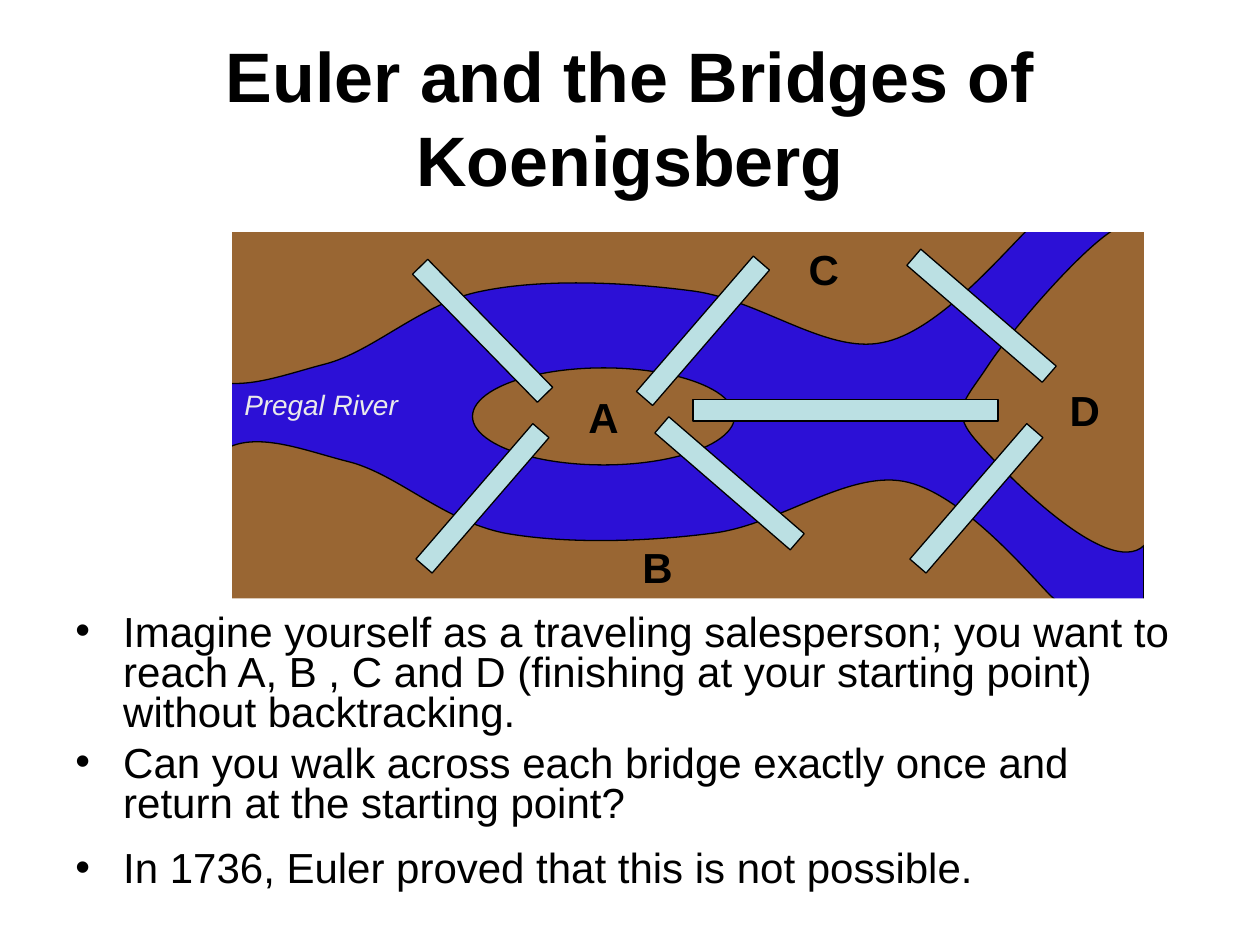
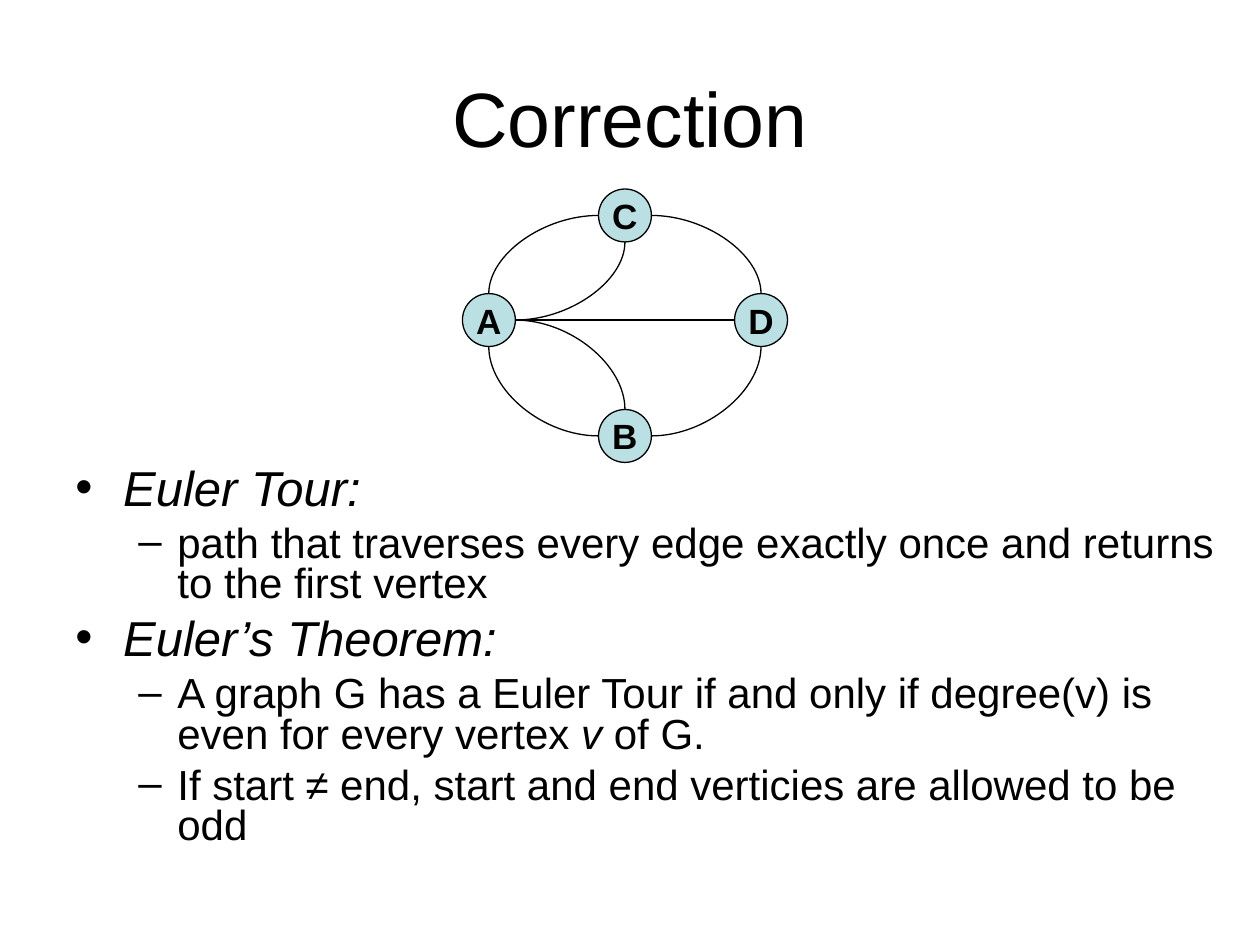
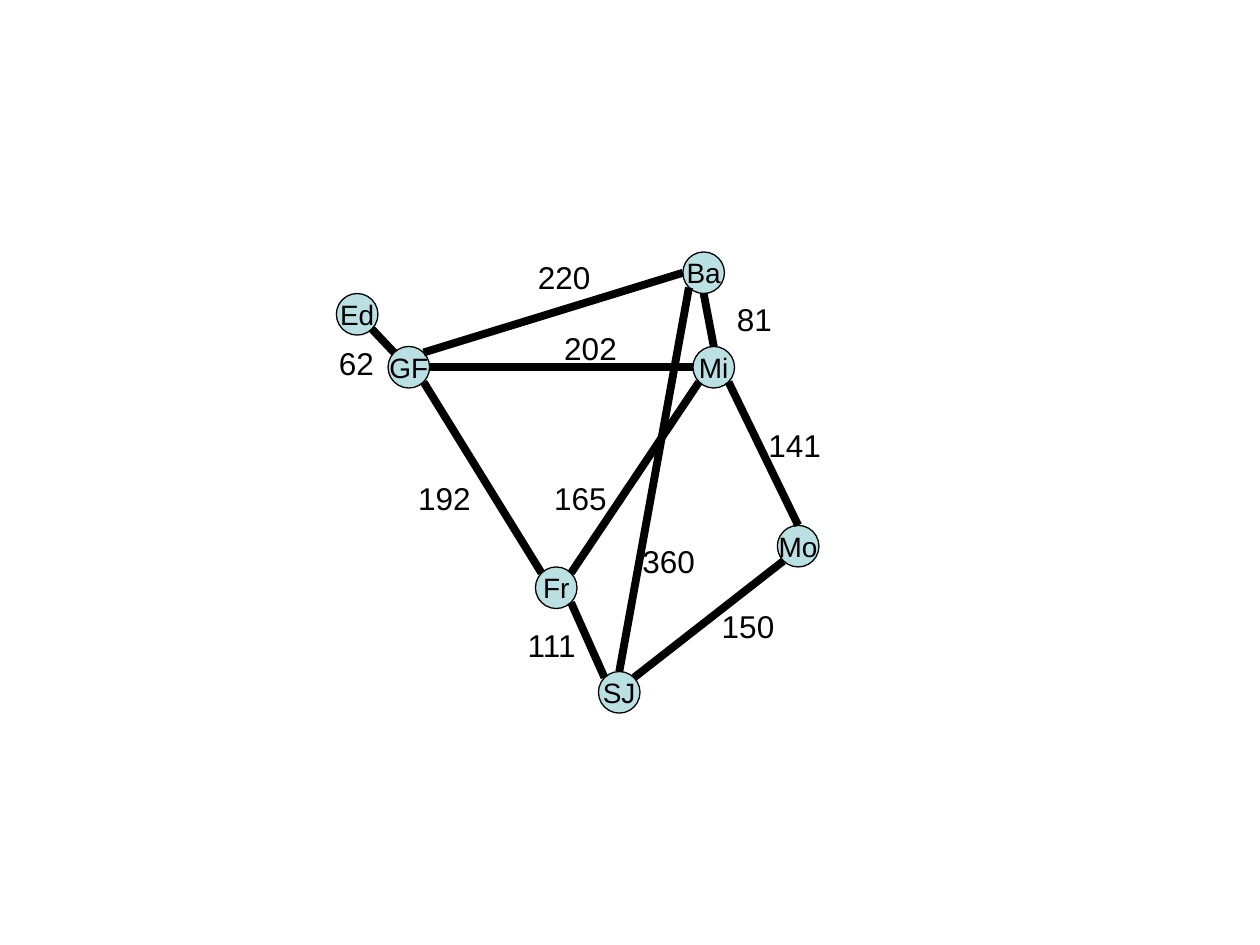
"""Build three slides on Euler tours: the bridges, the theorem and a road graph."""
from lxml import etree
from pptx import Presentation
from pptx.dml.color import RGBColor
from pptx.enum.shapes import MSO_CONNECTOR, MSO_SHAPE
from pptx.enum.text import MSO_ANCHOR, MSO_AUTO_SIZE, PP_ALIGN
from pptx.oxml.ns import qn
from pptx.util import Inches, Pt

RECT, OVAL = MSO_SHAPE.RECTANGLE, MSO_SHAPE.OVAL
CURVE, LINE = MSO_CONNECTOR.CURVE, MSO_CONNECTOR.STRAIGHT
LEFT, CENTER = PP_ALIGN.LEFT, PP_ALIGN.CENTER
TOP, MIDDLE = MSO_ANCHOR.TOP, MSO_ANCHOR.MIDDLE
GROW, FIXED = MSO_AUTO_SIZE.SHAPE_TO_FIT_TEXT, MSO_AUTO_SIZE.NONE


class Theme:
    font = "Arial"
    ink = RGBColor(0x00, 0x00, 0x00)
    paper = RGBColor(0xFF, 0xFF, 0xFF)
    pale = RGBColor(0xEA, 0xEA, 0xEA)
    water = RGBColor(0x2C, 0x10, 0xD6)
    land = RGBColor(0x99, 0x66, 0x33)
    node = RGBColor(0xBB, 0xE0, 0xE3)
    thin, thick = 0.75, 4.5
    title, plain, head, body = 40, 44, 28, 24
    dot, road, small = 20, 18, 16
    marks = [("•", 0.38, 0.38), ("–", 0.81, 0.31)]


def paint(shape, fill, edge=True):
    shape.shadow.inherit = False
    shape.fill.solid()
    shape.fill.fore_color.rgb = fill
    if edge:
        shape.line.color.rgb = Theme.ink
        shape.line.width = Pt(Theme.thin)
    else:
        shape.line.fill.background()


def write(shape, text, size, bold=False, slant=False, color=Theme.ink,
          align=LEFT, anchor=TOP, wrap=False, fit=FIXED):
    frame = shape.text_frame
    frame.text = text
    frame.word_wrap = wrap
    frame.auto_size = fit
    frame.vertical_anchor = anchor
    frame.paragraphs[0].alignment = align
    font = frame.paragraphs[0].runs[0].font
    font.name, font.size = Theme.font, Pt(size)
    font.bold, font.italic = bold, slant
    font.color.rgb = color


deck = Presentation()
deck.slide_width, deck.slide_height = Inches(10), Inches(7.5)
pages = [deck.slides.add_slide(deck.slide_layouts[6]) for _ in range(3)]

town = pages[0].shapes
river = town.add_shape(RECT, Inches(1.58), Inches(1.83), Inches(7.5), Inches(3))
paint(river, Theme.water)
isle = town.add_shape(OVAL, Inches(3.75), Inches(2.92), Inches(2.08), Inches(0.77))
paint(isle, Theme.land)
write(isle, "A", Theme.body, bold=True, align=CENTER, anchor=MIDDLE)

banks = [
    [(8.17, 1.81), (7.96, 2.01), (7.44, 2.64), (7, 2.72),
     (6.56, 2.81), (6.03, 2.38), (5.5, 2.31), (4.97, 2.24), (4.32, 2.21), (3.83, 2.31),
     (3.35, 2.4), (2.97, 2.79), (2.58, 2.89), (2.19, 2.99), (1.75, 3.18), (1.5, 2.89),
     (1.25, 2.6), (0.49, 1.36), (1.08, 1.14), (1.68, 0.92), (3.89, 1.5), (5.08, 1.56),
     (6.28, 1.61), (7.74, 1.43), (8.25, 1.47), (8.76, 1.51), (8.37, 1.6), (8.17, 1.81)],
    [(8.33, 4.72), (8.13, 4.51), (7.61, 3.9), (7.17, 3.82),
     (6.72, 3.74), (6.19, 4.16), (5.67, 4.23), (5.14, 4.3), (4.49, 4.32), (4, 4.23),
     (3.51, 4.13), (3.14, 3.75), (2.75, 3.66), (2.36, 3.56), (1.92, 3.37), (1.67, 3.66),
     (1.42, 3.94), (0.65, 5.15), (1.25, 5.37), (1.85, 5.58), (4.06, 5.01), (5.25, 4.96),
     (6.44, 4.9), (7.9, 5.08), (8.42, 5.04), (8.93, 5), (8.54, 4.92), (8.33, 4.72)],
    [(8.83, 1.83), (8.56, 2), (8.01, 2.64), (7.83, 2.92),
     (7.65, 3.19), (7.54, 3.26), (7.75, 3.5), (7.96, 3.74), (8.79, 4.6), (9.08, 4.33),
     (9.38, 4.07), (9.54, 2.32), (9.5, 1.92), (9.46, 1.51), (9.11, 1.67), (8.83, 1.83)],
]
for bank in banks:
    first, *rest = [(Inches(x), Inches(y)) for x, y in bank]
    pen = town.build_freeform(*first)
    pen.add_line_segments(rest, close=True)
    shore = pen.convert_to_shape()
    lines = list(shore._element.iter(qn("a:lnTo")))
    for i in range(0, len(lines), 3):
        bend = etree.Element(qn("a:cubicBezTo"))
        lines[i].addprevious(bend)
        for line in lines[i:i + 3]:
            bend.append(line[0])
            line.getparent().remove(line)
    paint(shore, Theme.land)

masks = [(0.42, 0.67, 1.42, 5.5), (1.5, 4.75, 8.08, 1.17),
         (9.08, 0.83, 0.67, 5.5), (1.67, 0.67, 8.08, 1.17)]
for mask in masks:
    paint(town.add_shape(RECT, *map(Inches, mask)), Theme.paper, edge=False)

for name, x, y in [("B", 5, 4.25), ("C", 6.32, 1.88), ("D", 8.39, 3)]:
    label = town.add_textbox(Inches(x), Inches(y), Inches(0.44), Inches(0.5))
    write(label, name, Theme.body, bold=True, fit=GROW)

bridges = [(3.12, 3.87, 1.42, 310.8), (4.87, 2.54, 1.42, 310.8), (7.04, 3.87, 1.42, 310.8),
           (3.12, 2.54, 1.42, 225.7), (5.08, 3.75, 1.42, 220.8), (7.08, 2.42, 1.42, 220.8),
           (5.5, 3.17, 2.42, 180)]
for x, y, length, turn in bridges:
    bridge = town.add_shape(RECT, Inches(x), Inches(y), Inches(length), Inches(0.17))
    bridge.rotation = turn
    paint(bridge, Theme.node)

label = town.add_textbox(Inches(1.84), Inches(3.03), Inches(1.42), Inches(0.37))
write(label, "Pregal River", Theme.small, slant=True, color=Theme.pale, fit=GROW)

titles = [(pages[0], "Euler and the Bridges of Koenigsberg", 0, 10, Theme.title, True),
          (pages[1], "Correction", 0.5, 9, Theme.plain, False)]
for page, text, x, width, size, bold in titles:
    box = page.shapes.add_textbox(Inches(x), Inches(0.3), Inches(width), Inches(1.25))
    write(box, text, size, bold=bold, align=CENTER, anchor=MIDDLE, wrap=True)

lists = [
    (pages[0], 4.83, 9, 2.28, 0.8, [
        (0, Theme.body, [("Imagine yourself as a traveling salesperson; you want to reach A, B , C "
                          "and D (finishing at your starting point) without backtracking.", False)]),
        (0, Theme.body, [("Can you walk across each bridge exactly once and return at the "
                          "starting point?", False)])]),
    (pages[0], 6.63, 9, 0.6, 1.0, [
        (0, Theme.body, [("In 1736, Euler proved that this is not possible.", False)])]),
    (pages[1], 3.67, 9.5, 3.17, 0.8, [
        (0, Theme.head, [("Euler Tour:", True)]),
        (1, Theme.body, [("path that traverses every edge exactly once and returns to the "
                          "first vertex", False)]),
        (0, Theme.head, [("Euler’s Theorem:", True)]),
        (1, Theme.body, [("A graph G has a Euler Tour if and only if degree(v) is even for "
                          "every vertex ", False), ("v ", True), ("of G.", False)]),
        (1, Theme.body, [("If start ≠ end, start and end verticies are allowed to be odd",
                          False)])]),
]
for page, y, width, height, pitch, items in lists:
    box = page.shapes.add_textbox(Inches(0.5), Inches(y), Inches(width), Inches(height))
    frame = box.text_frame
    frame.word_wrap = True
    for i, (level, size, runs) in enumerate(items):
        para = frame.add_paragraph() if i else frame.paragraphs[0]
        mark, left, hang = Theme.marks[level]
        para.level = level
        props = para._p.get_or_add_pPr()
        props.set("marL", str(Inches(left)))
        props.set("indent", str(-Inches(hang)))
        etree.SubElement(props, qn("a:buFont"), typeface=Theme.font)
        etree.SubElement(props, qn("a:buChar"), char=mark)
        para.line_spacing = pitch
        para.space_before = Pt(size / 4 if i else 0)
        for text, slant in runs:
            run = para.add_run()
            run.text = text
            run.font.name, run.font.size = Theme.font, Pt(size)
            run.font.italic = slant
            run.font.color.rgb = Theme.ink

sites = {"n": (0, -1), "ne": (0.71, -0.71), "e": (1, 0), "se": (0.71, 0.71),
         "s": (0, 1), "sw": (-0.71, 0.71), "w": (-1, 0), "nw": (-0.71, -0.71)}
graphs = [
    (pages[1], 0.42, Theme.dot, True, CURVE, Theme.thin,
     {"A": (3.67, 2.33), "C": (4.75, 1.5), "B": (4.75, 3.25), "D": (5.83, 2.33)},
     ["A e C s", "C w A n", "B w A s", "A e B n", "A e D w", "C e D n", "B e D s"]),
    (pages[2], 0.33, Theme.small, False, LINE, Theme.thick,
     {"Fr": (4.25, 4.5), "SJ": (4.75, 5.33), "Mo": (6.17, 4.17), "Mi": (5.5, 2.75),
      "Ed": (2.67, 2.33), "Ba": (5.42, 2), "GF": (3.08, 2.75)},
     ["Fr nw GF se", "Fr ne Mi sw", "Fr se SJ nw", "Mo sw SJ ne", "Mi se Mo n",
      "Ba sw SJ n", "Ba s Mi n", "GF e Mi w", "Ed se GF nw", "GF ne Ba w"]),
]
for page, wide, size, bold, form, weight, nodes, edges in graphs:
    for name, (x, y) in nodes.items():
        node = page.shapes.add_shape(OVAL, Inches(x), Inches(y), Inches(wide), Inches(wide))
        paint(node, Theme.node)
        write(node, name, size, bold=bold, align=CENTER, anchor=MIDDLE)
    for edge in edges:
        start, out, end, into = edge.split()
        ends = [Inches(place + wide / 2 * (1 + shift))
                for name, site in ((start, out), (end, into))
                for place, shift in zip(nodes[name], sites[site])]
        link = page.shapes.add_connector(form, *ends)
        link.line.color.rgb = Theme.ink
        link.line.width = Pt(weight)
        props = link._element.spPr
        etree.SubElement(props, qn("a:effectLst"))
        if form == CURVE:
            props.find(qn("a:prstGeom")).set("prst", "curvedConnector2")

miles = [("62", 2.59, 2.68), ("220", 4.17, 2), ("202", 4.38, 2.56), ("81", 5.75, 2.33),
         ("141", 6, 3.33), ("150", 5.63, 4.77), ("360", 5, 4.25), ("111", 4.09, 4.92),
         ("192", 3.22, 3.75), ("165", 4.3, 3.75)]
for text, x, y in miles:
    width = 0.48 if len(text) == 2 else 0.63
    label = pages[2].shapes.add_textbox(Inches(x), Inches(y), Inches(width), Inches(0.4))
    write(label, text, Theme.road, fit=GROW)

deck.save("out.pptx")
